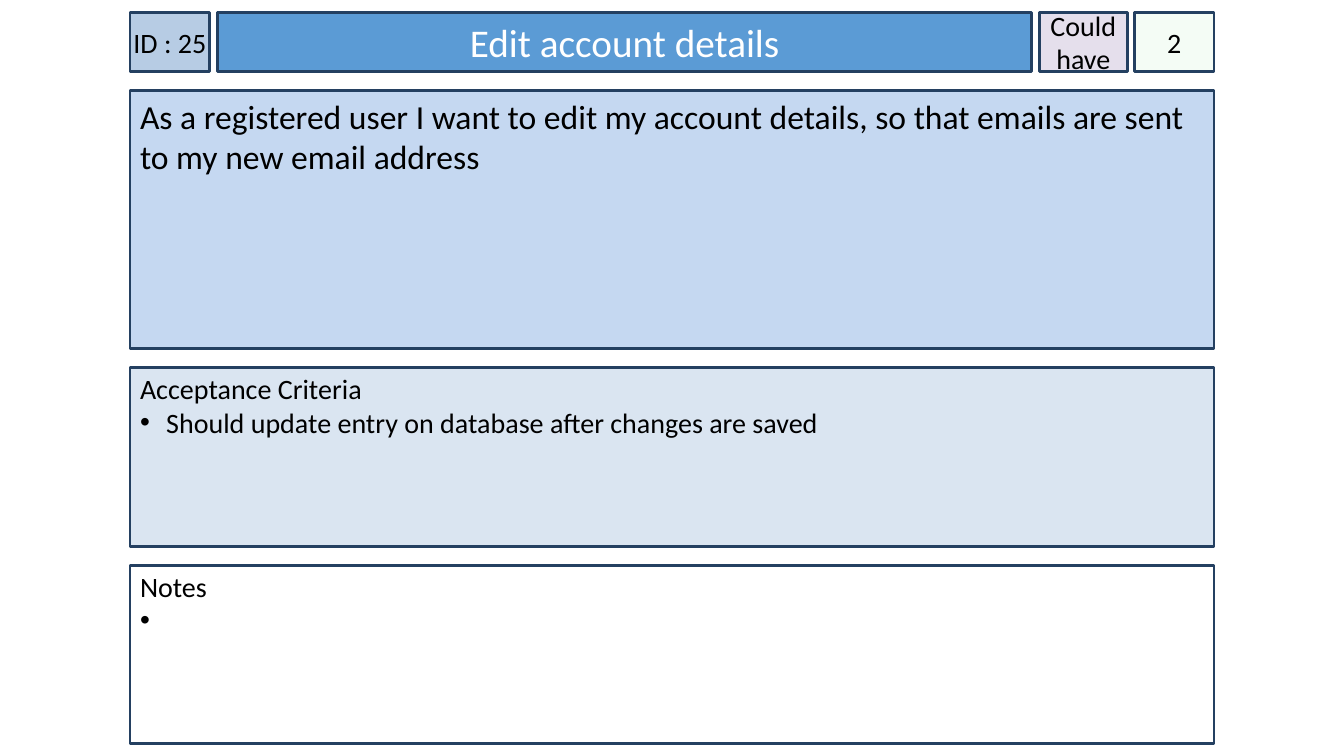
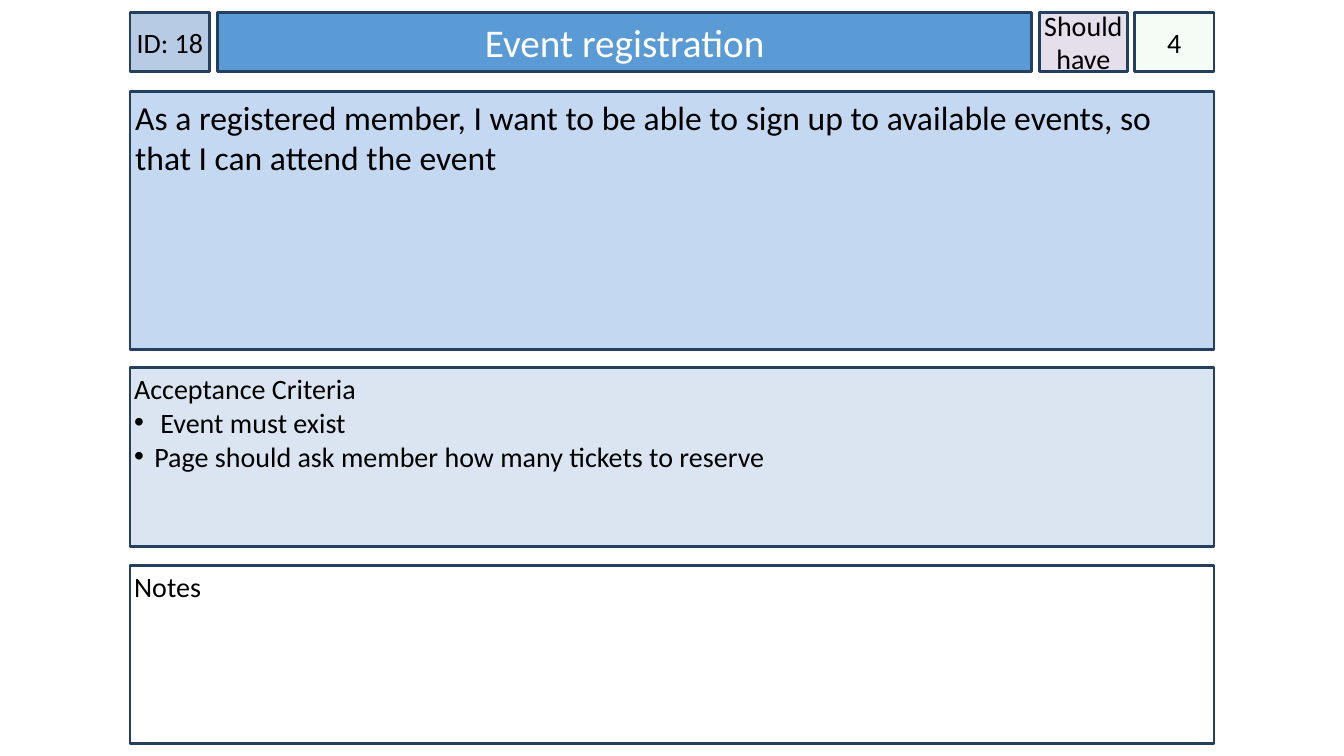
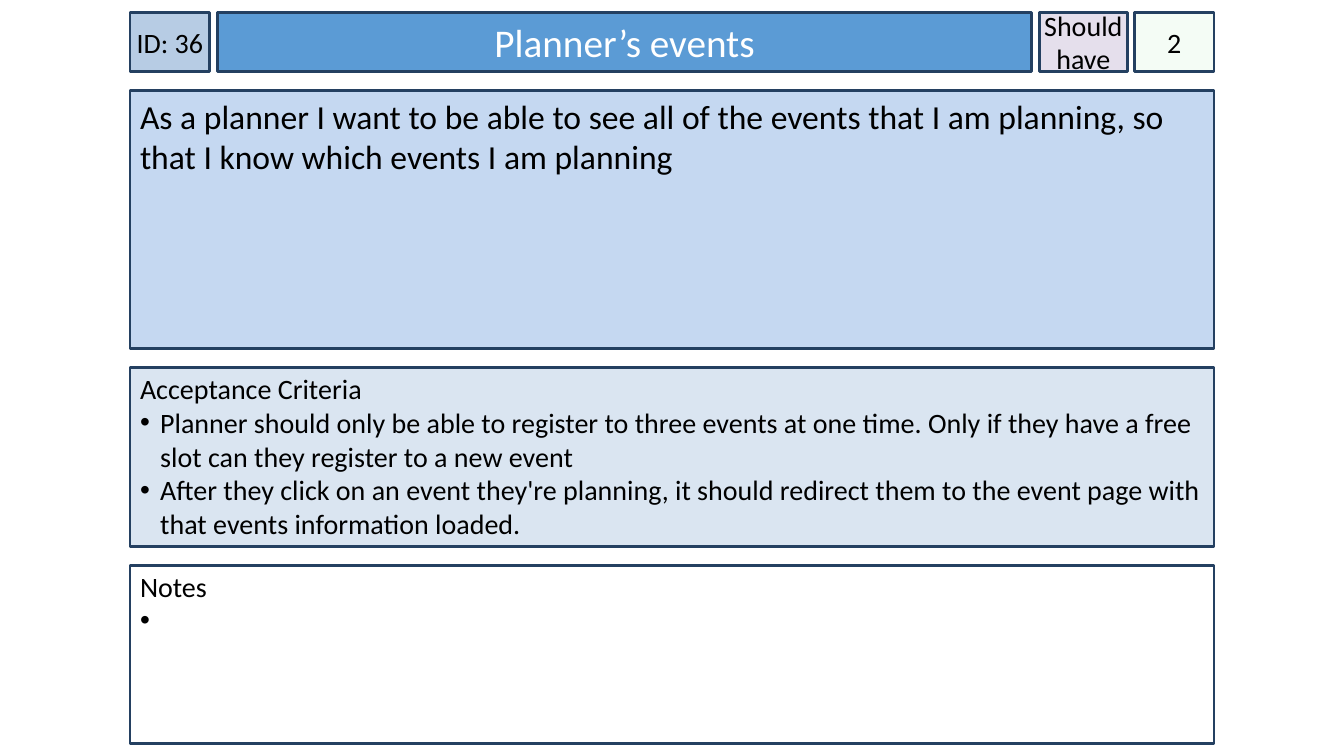
from pptx import Presentation
from pptx.dml.color import RGBColor
from pptx.enum import shapes, text
from pptx.oxml import ns
from pptx.util import Inches, Pt
from lxml import etree

# Colours
BLACK = RGBColor(0x00, 0x00, 0x00)
WHITE = RGBColor(0xFF, 0xFF, 0xFF)
OUTLINE = RGBColor(0x24, 0x40, 0x61)
TITLE_BLUE = RGBColor(0x5B, 0x9B, 0xD5)
ID_BLUE = RGBColor(0xB7, 0xCC, 0xE4)
STORY_BLUE = RGBColor(0xC5, 0xD8, 0xF1)
CRITERIA_BLUE = RGBColor(0xDA, 0xE5, 0xF1)
PRIORITY_LILAC = RGBColor(0xE5, 0xDF, 0xEC)
ESTIMATE_GREEN = RGBColor(0xCC, 0xF0, 0xCD)

# Card layout, in inches
LEFT, WIDTH = 1.29, 10.75
HEADER_TOP, HEADER_HEIGHT = 0.12, 0.59
LOWER_HEIGHT, GAP = 1.77, 0.19
CRITERIA_TOP = 3.65
NOTES_TOP = CRITERIA_TOP + LOWER_HEIGHT + GAP
HANG, WIDE_HANG = 0.2, 0.26


def write(para, words, size=20, color=BLACK, align=text.PP_ALIGN.LEFT, hang=None):
    """Fill a paragraph; hang is the bullet indent in inches."""
    para.alignment = align
    if hang:
        props = para._p.get_or_add_pPr()
        props.set("marL", str(Inches(hang)))
        props.set("indent", str(-Inches(hang)))
        bullet_color = etree.SubElement(props, ns.qn("a:buClr"))
        etree.SubElement(bullet_color, ns.qn("a:srgbClr"), val=str(BLACK))
        etree.SubElement(props, ns.qn("a:buFont"), typeface="Arial")
        etree.SubElement(props, ns.qn("a:buChar"), char="•")
    span = para.add_run()
    span.text = words
    span.font.name = "Calibri"
    span.font.size = Pt(size)
    span.font.color.rgb = color


class StoryDeck:
    def __init__(self):
        self.deck = Presentation()
        self.deck.slide_width = Inches(13.33)
        self.deck.slide_height = Inches(7.5)
        self.slide = None

    def new_slide(self):
        self.slide = self.deck.slides.add_slide(self.deck.slide_layouts[5])

    def style(self, box, fill, side, top=0.05, anchor=text.MSO_ANCHOR.MIDDLE):
        box.fill.solid()
        box.fill.fore_color.rgb = fill
        box.line.color.rgb = OUTLINE
        box.line.width = Pt(2)
        frame = box.text_frame
        frame.word_wrap = True
        frame.auto_size = text.MSO_AUTO_SIZE.NONE
        frame.vertical_anchor = anchor
        frame.margin_left = frame.margin_right = Inches(side)
        frame.margin_top, frame.margin_bottom = Inches(top), Inches(0.05)

    def rectangle(self, left, top, width, height):
        box = self.slide.shapes.add_shape(
            shapes.MSO_SHAPE.RECTANGLE,
            Inches(left), Inches(top), Inches(width), Inches(height))
        box.shadow.inherit = False
        return box

    def title(self, words):
        box = self.slide.shapes.title
        box.left, box.top = Inches(2.16), Inches(HEADER_TOP)
        box.width, box.height = Inches(8.07), Inches(HEADER_HEIGHT)
        self.style(box, TITLE_BLUE, side=0.1)
        write(box.text_frame.paragraphs[0], words, size=28, color=WHITE,
              align=text.PP_ALIGN.CENTER)

    def tag(self, left, width, words, fill, opacity=None):
        box = self.rectangle(left, HEADER_TOP, width, HEADER_HEIGHT)
        self.style(box, fill, side=0)
        if opacity:
            fill_color = box.element.spPr.find(
                f"{ns.qn('a:solidFill')}/{ns.qn('a:srgbClr')}")
            etree.SubElement(fill_color, ns.qn("a:alpha"), val=str(opacity * 1000))
        write(box.text_frame.paragraphs[0], words, align=text.PP_ALIGN.CENTER)

    def panel(self, top, height, fill, words, side, inset_top=0.04, size=20, bullets=()):
        box = self.rectangle(LEFT, top, WIDTH, height)
        self.style(box, fill, side, inset_top, text.MSO_ANCHOR.TOP)
        frame = box.text_frame
        write(frame.paragraphs[0], words, size=size)
        for item, hang in bullets:
            write(frame.add_paragraph(), item, hang=hang)

    def card(self, number, name, priority, estimate, story, criteria,
             notes=(), story_top=0.9, story_side=0.1, lower_side=0.1):
        self.new_slide()
        # Header row
        self.title(name)
        self.tag(LEFT, 0.79, number, ID_BLUE)
        self.tag(10.31, 0.87, priority, PRIORITY_LILAC)
        self.tag(11.25, 0.79, estimate, ESTIMATE_GREEN, opacity=20)
        # Story, criteria and notes
        self.panel(story_top, 2.56, STORY_BLUE, story, story_side,
                   inset_top=0.05, size=24)
        self.panel(CRITERIA_TOP, LOWER_HEIGHT, CRITERIA_BLUE,
                   "Acceptance Criteria", lower_side, bullets=criteria)
        self.panel(NOTES_TOP, LOWER_HEIGHT, WHITE, "Notes", lower_side, bullets=notes)


def main():
    cards = StoryDeck()
    open_note = [(" ", HANG)]  # a bullet still to be filled in
    cards.card(
        "ID : 25", "Edit account details", "Could have", "2",
        "As a registered user I want to edit my account details, so that emails "
        "are sent to my new email address",
        [("Should update entry on database after changes are saved", WIDE_HANG)],
        notes=open_note)
    cards.card(
        "ID: 18", "Event registration", "Should have", "4",
        "As a registered member, I want to be able to sign up to available events, "
        "so that I can attend the event",
        [("Event must exist", WIDE_HANG),
         ("Page should ask member how many tickets to reserve", HANG)],
        story_top=0.91, story_side=0.05, lower_side=0.04)
    cards.card(
        "ID: 36", "Planner’s events", "Should have", "2",
        "As a planner I want to be able to see all of the events that I am planning, "
        "so that I know which events I am planning",
        [("Planner should only be able to register to three events at one time. Only "
          "if they have a free slot can they register to a new event", HANG),
         ("After they click on an event they're planning, it should redirect them to "
          "the event page with that events information loaded.", HANG)],
        notes=open_note)
    cards.deck.save("out.pptx")


if __name__ == "__main__":
    main()
